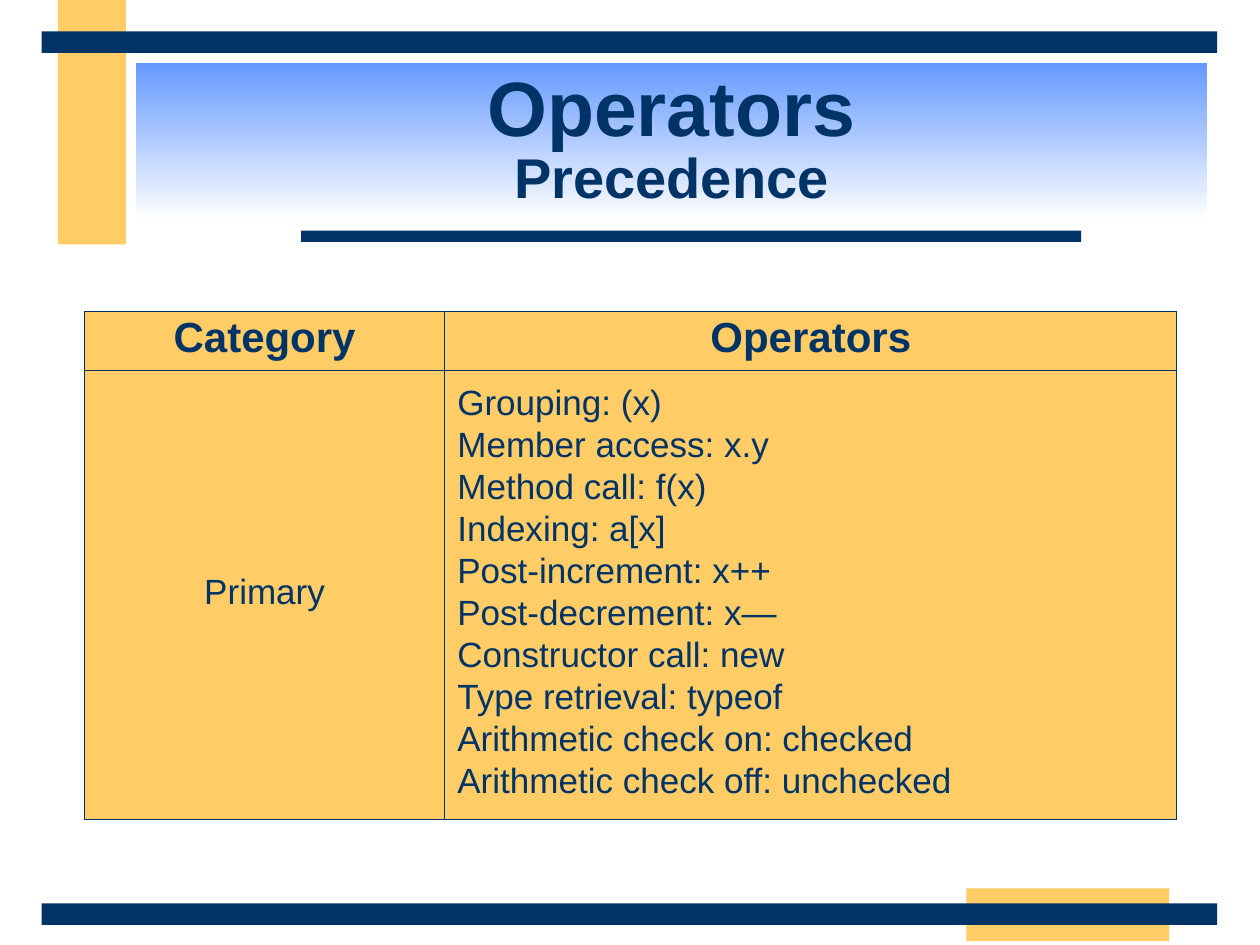
import dataclasses

import pptx
import pptx.dml.color
import pptx.enum.shapes
import pptx.enum.text
import pptx.oxml
import pptx.oxml.ns
import pptx.util

Inches = pptx.util.Inches
Pt = pptx.util.Pt
RGB = pptx.dml.color.RGBColor.from_string
CENTER = pptx.enum.text.PP_ALIGN.CENTER
LEFT = pptx.enum.text.PP_ALIGN.LEFT
MIDDLE = pptx.enum.text.MSO_ANCHOR.MIDDLE


@dataclasses.dataclass(frozen=True)
class Theme:
    font: str = "Arial"
    navy: str = "003366"
    amber: str = "FFCC66"
    sky: str = "6699FF"
    white: str = "FFFFFF"
    title: int = 44
    subtitle: int = 32
    header: int = 24
    body: int = 20
    line_spacing: float = 0.85
    border: float = 0.45


THEME = Theme()

PRIMARY_OPERATORS = [
    "Grouping: (x)",
    "Member access: x.y",
    "Method call: f(x)",
    "Indexing: a[x]",
    "Post-increment: x++",
    "Post-decrement: x—",
    "Constructor call: new",
    "Type retrieval: typeof",
    "Arithmetic check on: checked",
    "Arithmetic check off: unchecked",
]


def style_paragraph(paragraph, size, bold, align):
    paragraph.alignment = align
    paragraph.line_spacing = THEME.line_spacing
    paragraph.font.name = THEME.font
    paragraph.font.size = Pt(size)
    paragraph.font.bold = bold
    paragraph.font.color.rgb = RGB(THEME.navy)


def add_bar(slide, color, left, top, width, height):
    bar = slide.shapes.add_shape(
        pptx.enum.shapes.MSO_SHAPE.RECTANGLE, left, top, width, height)
    bar.shadow.inherit = False
    bar.fill.solid()
    bar.fill.fore_color.rgb = RGB(color)
    bar.line.fill.background()


def add_frame(slide, left, top, width, height):
    """Amber tabs crossed by navy rules, within the given box."""
    right, bottom = left + width, top + height
    rule = Inches(0.17)
    # Amber tabs
    add_bar(slide, THEME.amber, left + Inches(0.13), 0, Inches(0.54), Inches(1.94))
    add_bar(slide, THEME.amber, right - Inches(1.99), bottom - Inches(0.29),
            Inches(1.61), Inches(0.42))
    # Rule under the title, then the top and bottom rules
    add_bar(slide, THEME.navy, left + Inches(2.06), top + Inches(1.58),
            Inches(6.19), Inches(0.09))
    for rule_top in (bottom - rule, top):
        add_bar(slide, THEME.navy, left, rule_top, width, rule)


def place_title(slide, left, top, width, height, heading, subheading):
    title = slide.shapes.title
    title.left, title.top, title.width, title.height = left, top, width, height
    # Band fading downwards
    title.fill.gradient()
    title.fill.gradient_angle = 270
    for stop, color in zip(title.fill.gradient_stops, (THEME.sky, THEME.white)):
        stop.color.rgb = RGB(color)
    # Heading over a smaller second line
    frame = title.text_frame
    frame.auto_size = pptx.enum.text.MSO_AUTO_SIZE.NONE
    frame.word_wrap = True
    frame.vertical_anchor = MIDDLE
    paragraph = frame.paragraphs[0]
    style_paragraph(paragraph, THEME.title, True, CENTER)
    paragraph.add_run().text = heading
    paragraph.add_line_break()
    second_line = paragraph.add_run()
    second_line.text = subheading
    second_line.font.size = Pt(THEME.subtitle)


def border_cell(cell):
    properties = cell._tc.get_or_add_tcPr()
    for position, side in enumerate(("lnL", "lnR", "lnT", "lnB")):
        properties.insert(position, pptx.oxml.parse_xml(
            f'<a:{side} {pptx.oxml.ns.nsdecls("a")} w="{Pt(THEME.border)}">'
            f'<a:solidFill><a:srgbClr val="{THEME.navy}"/></a:solidFill></a:{side}>'))


def fill_cell(cell, lines, size, bold, align):
    cell.fill.solid()
    cell.fill.fore_color.rgb = RGB(THEME.amber)
    border_cell(cell)
    cell.vertical_anchor = MIDDLE
    cell.text = "\n".join(lines)
    for index, paragraph in enumerate(cell.text_frame.paragraphs):
        style_paragraph(paragraph, size, bold, align)
        if index:
            paragraph.space_before = Pt(5)


def add_precedence_table(slide, left, top, width, height):
    table = slide.shapes.add_table(2, 2, left, top, width, height).table
    category_width, header_height = Inches(2.86), Inches(0.47)
    table.columns[0].width = category_width
    table.columns[1].width = width - category_width
    table.rows[0].height = header_height
    table.rows[1].height = height - header_height
    # Header row
    for column, heading in enumerate(("Category", "Operators")):
        fill_cell(table.cell(0, column), [heading], THEME.header, True, CENTER)
    # Primary operators
    fill_cell(table.cell(1, 0), ["Primary"], THEME.body, False, CENTER)
    fill_cell(table.cell(1, 1), PRIMARY_OPERATORS, THEME.body, False, LEFT)


def main():
    deck = pptx.Presentation()
    deck.slide_width, deck.slide_height = Inches(10), Inches(7.5)
    slide = deck.slides.add_slide(deck.slide_layouts.get_by_name("Title Only"))
    add_frame(slide, Inches(0.33), Inches(0.25), Inches(9.33), Inches(7.09))
    place_title(slide, Inches(1.08), Inches(0.5), Inches(8.5), Inches(1.25),
                "Operators", "Precedence")
    add_precedence_table(slide, Inches(0.67), Inches(2.47), Inches(8.67), Inches(4.03))
    deck.save("out.pptx")


if __name__ == "__main__":
    main()
